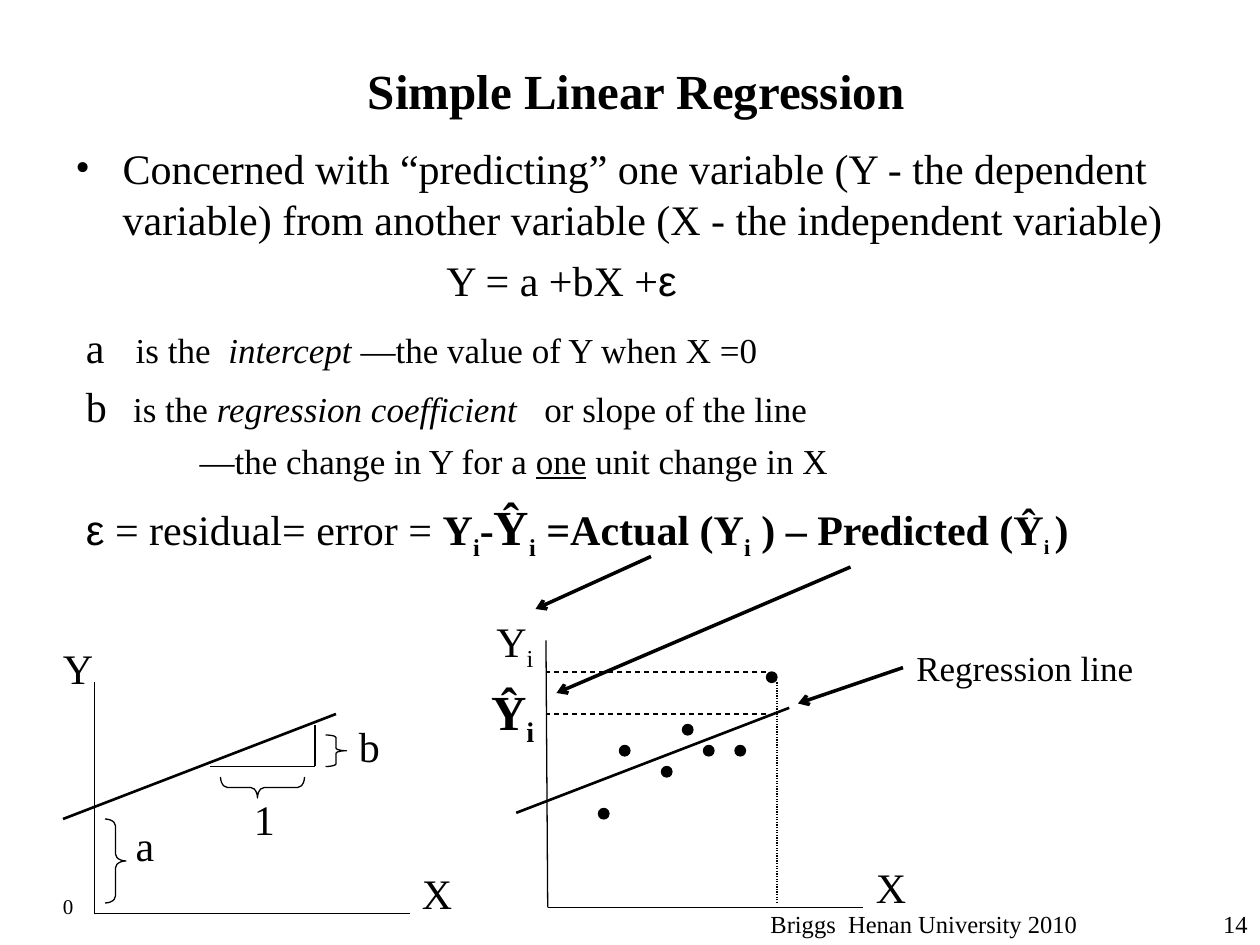
from lxml.etree import SubElement
from pptx import Presentation
from pptx.dml.color import RGBColor
from pptx.enum.dml import MSO_LINE_DASH_STYLE as Dash
from pptx.enum.shapes import MSO_CONNECTOR as Connector, MSO_SHAPE as Preset
from pptx.enum.text import MSO_ANCHOR as Anchor, PP_ALIGN as Align
from pptx.oxml.ns import qn
from pptx.util import Pt

COLORS = {"ink": "000000", "paper": "FFFFFF"}
SERIF, SANS = "Times New Roman", "Arial"

TITLE = [("Simple Linear Regression", 28, "b"), (" ", 44, "")]

BODY = [
    {"indent": 27, "bullet": "•", "before": 6, "spans": [
        ("Concerned with “predicting” one variable (Y - the dependent variable) "
         "from another variable (X - the independent variable)", 24, "")]},
    {"indent": 212, "before": 6, "spans": [("Y = a +bX +", 24, ""), ("ε", 24, "a")]},
    {"indent": 6, "before": 110, "spans": [
        ("ε", 24, "a"), (" = residual= error = ", 24, ""),
        ("Y", 24, "b"), ("i", 24, "bs"), ("-", 24, "b"),
        ("Ŷ", 28, "b"), ("i", 24, "bs"),
        (" =Actual (Y", 24, "b"), ("i", 24, "bs"),
        (" ) – Predicted (Ŷ", 24, "b"), ("i ", 20, "bs"), (")", 24, "b")]},
]

DEFINITIONS = [
    {"before": 5, "tabs": [28.5, 81.5], "spans": [
        ("a\t", 24, ""), ("is the\t", 20, ""), ("intercept ", 20, "i"),
        ("—the value of Y when X =0", 20, "")]},
    {"before": 5, "tabs": [27, 262], "spans": [
        ("b\t", 24, ""), ("is the ", 20, ""), ("regression coefficient\t", 20, "i"),
        ("or slope of the line", 20, "")]},
    {"before": 5, "indent": 65, "spans": [
        ("—the change in Y for a ", 20, ""), ("one", 20, "u"),
        (" unit change in X", 20, "")]},
]

FOOTERS = [
    ((384, 516, 288, 24), "Briggs  Henan University 2010", Align.CENTER),
    ((684, 516, 36, 24), "14", Align.RIGHT),
]

LABELS = [
    ((70.5, 465, 28, 36), [("a", 24, "")]),
    ((198, 408, 28, 36), [("b", 24, "")]),
    ((138, 450, 28, 36), [("1", 24, "")]),
    ((28.8, 363.5, 36, 36), [("Y", 24, "")]),
    ((234, 492, 36, 36), [("X", 24, "")]),
    ((276.5, 348, 40, 40), [("Y", 24, ""), ("i", 24, "s")]),
    ((493.5, 489, 36, 36), [("X", 24, "")]),
    ((273.6, 386, 44, 45), [("Ŷ", 28, "b"), ("i", 28, "bs")]),
    ((28.8, 507, 24, 22), [("0", 12, "")]),
    ((516.5, 366, 146, 32), [("Regression line", 20, "")]),
]

THIN, MEDIUM, THICK = 0.75, 1.5, 2
LINES = [
    ((54, 390, 54, 522), THIN, None),
    ((54, 522, 234, 522), THIN, None),
    ((36, 468, 192, 408), MEDIUM, None),
    ((120, 438, 180, 438), THIN, None),
    ((180, 438, 180, 414), THIN, None),
    ((312, 366, 313, 518.5), THIN, None),
    ((313, 518.5, 493, 518.5), THIN, None),
    ((295, 464.5, 451, 404.5), MEDIUM, None),
    ((438, 384, 312, 384), THIN, Dash.DASH),
    ((438, 408, 312, 408), THIN, Dash.DASH),
    ((444, 390, 444, 516), THIN, Dash.ROUND_DOT),
]
ARROWS = [(516, 381.5, 456, 402), (372, 318, 306, 348), (486, 324, 318, 396)]

BRACES = [
    ((60, 468, 12, 48), 0, (0.33, 0.5)),
    ((144, 426, 12, 48), 90, (0.33, 0.56)),
    ((186, 420, 12, 18), 0, (0.12, 0.5)),
]

DOT = 6
POINTS = [(342, 462), (354, 426), (378, 438), (420, 426),
          (390, 414), (402, 426), (438, 384)]


def color(name):
    return RGBColor.from_string(COLORS[name])


def points(values):
    return [Pt(value) for value in values]


def add_spans(para, spans):
    for text, size, style in spans:
        span = para.add_run()
        span.text = text
        font = span.font
        font.size = Pt(size)
        font.name = SANS if "a" in style else SERIF
        font.bold = "b" in style
        font.italic = "i" in style
        font.underline = "u" in style
        font.color.rgb = color("ink")
        if "s" in style:
            span._r.get_or_add_rPr().set("baseline", "-25000")


def add_box(page, frame, paras, wrap=True):
    box = page.shapes.add_textbox(*points(frame))
    box.text_frame.word_wrap = wrap
    for index, item in enumerate(paras):
        para = box.text_frame.paragraphs[0] if index == 0 else box.text_frame.add_paragraph()
        para.alignment = item.get("align", Align.LEFT)
        para.space_before = Pt(item.get("before", 0))
        props = para._p.get_or_add_pPr()
        indent = Pt(item.get("indent", 0))
        props.set("marL", str(indent))
        if "bullet" in item:
            props.set("indent", str(-indent))
            SubElement(props, qn("a:buFont"), typeface=SERIF)
            SubElement(props, qn("a:buChar"), char=item["bullet"])
        if "tabs" in item:
            stops = SubElement(props, qn("a:tabLst"))
            for stop in item["tabs"]:
                SubElement(stops, qn("a:tab"), pos=str(Pt(stop)), algn="l")
        add_spans(para, item["spans"])


def add_line(page, ends, width, dash=None, arrow=False):
    line = page.shapes.add_connector(Connector.STRAIGHT, *points(ends))
    line.line.width = Pt(width)
    line.line.color.rgb = color("ink")
    if dash:
        line.line.dash_style = dash
    if arrow:
        SubElement(line.line._get_or_add_ln(), qn("a:tailEnd"), type="arrow")
    SubElement(line._element.spPr, qn("a:effectLst"))


def add_outline(page, preset, frame):
    shape = page.shapes.add_shape(preset, *points(frame))
    shape.shadow.inherit = False
    shape.line.width = Pt(THIN)
    shape.line.color.rgb = color("ink")
    return shape


def main():
    deck = Presentation()
    deck.slide_width, deck.slide_height = Pt(720), Pt(540)
    page = deck.slides.add_slide(deck.slide_layouts[5])
    page.background.fill.solid()
    page.background.fill.fore_color.rgb = color("paper")

    title = page.shapes.title
    title.left, title.top, title.width, title.height = points((18, 24, 702, 42))
    title.text_frame.vertical_anchor = Anchor.MIDDLE
    title.text_frame.paragraphs[0].alignment = Align.CENTER
    add_spans(title.text_frame.paragraphs[0], TITLE)

    add_box(page, (36, 78, 666, 402), BODY)
    add_box(page, (42, 180, 618, 99), DEFINITIONS)
    for frame, text, align in FOOTERS:
        add_box(page, frame, [{"align": align, "spans": [(text, 14, "")]}])
    for frame, spans in LABELS:
        add_box(page, frame, [{"spans": spans}])

    for ends, width, dash in LINES:
        add_line(page, ends, width, dash)
    for ends in ARROWS:
        add_line(page, ends, THICK, arrow=True)

    for frame, turn, adjust in BRACES:
        brace = add_outline(page, Preset.RIGHT_BRACE, frame)
        brace.fill.background()
        brace.rotation = turn
        brace.adjustments[0], brace.adjustments[1] = adjust
    for left, top in POINTS:
        dot = add_outline(page, Preset.OVAL, (left, top, DOT, DOT))
        dot.fill.solid()
        dot.fill.fore_color.rgb = color("ink")

    deck.save("out.pptx")


if __name__ == "__main__":
    main()
